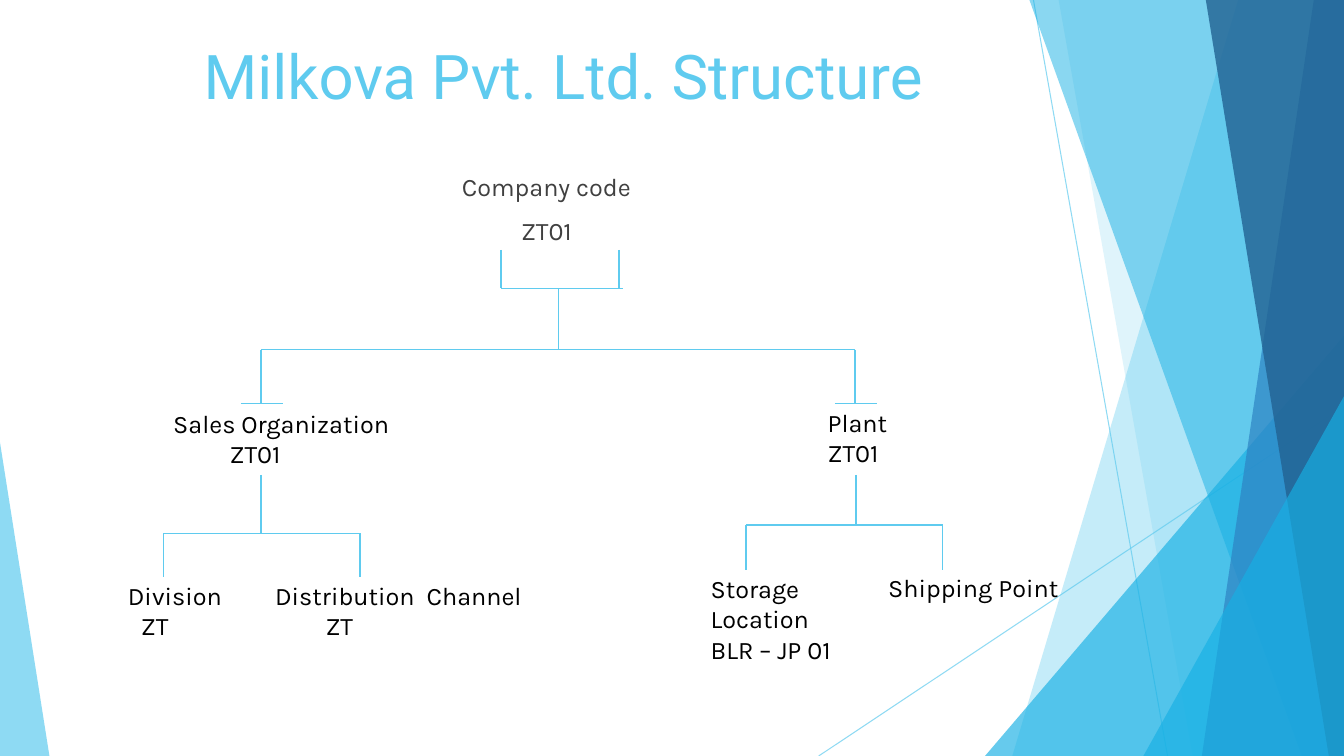
from pptx import Presentation
from pptx import util as u
from pptx.dml.color import RGBColor
from pptx.enum import shapes, text
from pptx.oxml import ns
from lxml import etree

SKY = RGBColor(0x5F, 0xCB, 0xEF)
CYAN = RGBColor(0x17, 0xB0, 0xE4)
BLUE = RGBColor(0x2E, 0x83, 0xC3)
NAVY = RGBColor(0x22, 0x62, 0x92)
GRAY = RGBColor(0x40, 0x40, 0x40)
BLACK = RGBColor(0, 0, 0)
LABEL_FONT = "Karla"


def set_alpha(shape, percent):
    for color in shape._element.spPr.iter(ns.qn("a:srgbClr")):
        etree.SubElement(color, ns.qn("a:alpha"), val=str(percent * 1000))


def paint(shape, color, opacity):
    shape.shadow.inherit = False
    shape.fill.solid()
    shape.fill.fore_color.rgb = color
    shape.line.fill.background()
    set_alpha(shape, opacity)


def add_line(slide, start, end, width=1, opacity=100):
    points = [u.Inches(value) for value in (*start, *end)]
    line = slide.shapes.add_connector(shapes.MSO_CONNECTOR.STRAIGHT, *points)
    line.line.color.rgb = SKY
    line.line.width = u.Pt(width)
    etree.SubElement(line._element.spPr, ns.qn("a:effectLst"))
    if opacity < 100:
        set_alpha(line, opacity)


def add_triangle(slide, box, apex, color, opacity):
    triangle = slide.shapes.add_shape(
        shapes.MSO_SHAPE.ISOSCELES_TRIANGLE, *map(u.Inches, box))
    triangle.adjustments[0] = apex
    paint(triangle, color, opacity)


def add_band(slide, box, top_offset, bottom_offset, color, opacity):
    left, top, width, height = box
    right, bottom = left + width, top + height
    corners = [(left + top_offset, top), (right, top), (right, bottom),
               (left + bottom_offset, bottom)]
    points = [(u.Inches(x), u.Inches(y)) for x, y in corners]
    builder = slide.shapes.build_freeform(*points[0])
    builder.add_line_segments(points[1:], close=True)
    paint(builder.convert_to_shape(), color, opacity)


def add_corner(slide, box, width, height, color, opacity):
    right, bottom = box[0] + box[2], box[1] + box[3]
    add_triangle(slide, (right - width, bottom - height, width, height),
                 1, color, opacity)


def add_facets(slide, box):
    left, top, width, height = box
    bottom = top + height
    add_line(slide, (left + 2.13, top), (left + 3.46, bottom), 0.75, 70)
    add_line(slide, (left + width, top + 4.03), (left, bottom), 0.75, 70)
    add_band(slide, box, 4.16, 1.92, SKY, 36)
    add_band(slide, box, 2.38, 3.71, SKY, 20)
    add_corner(slide, box, 3.56, 4.17, CYAN, 66)
    add_band(slide, box, 2.09, 4.79, CYAN, 50)
    add_band(slide, box, 4.91, 3.8, BLUE, 70)
    add_band(slide, box, 3.84, 5.06, NAVY, 80)
    add_corner(slide, box, 1.99, 3.57, CYAN, 66)


def format_text(paragraph, content, size=18, font=LABEL_FONT, color=BLACK,
                align=text.PP_ALIGN.LEFT, before=0, indent=0):
    run = paragraph.add_run()
    run.text = content
    run.font.size = u.Pt(size)
    run.font.name = font
    run.font.color.rgb = color
    paragraph.alignment = align
    paragraph.space_before = u.Pt(before)
    if indent:
        paragraph._p.get_or_add_pPr().set("marL", str(u.Inches(indent)))


def add_label(slide, box, lines, code_indent=0, **style):
    frame = slide.shapes.add_textbox(*map(u.Inches, box)).text_frame
    frame.word_wrap = True
    for index, content in enumerate(lines):
        paragraph = frame.add_paragraph() if index else frame.paragraphs[0]
        format_text(paragraph, content, indent=code_indent if index else 0, **style)


def add_title(slide, box, content):
    title = slide.shapes.title
    title.left, title.top, title.width, title.height = map(u.Inches, box)
    title.text_frame.vertical_anchor = text.MSO_ANCHOR.TOP
    format_text(title.text_frame.paragraphs[0], content, size=44, font="Roboto",
                color=SKY, align=text.PP_ALIGN.CENTER)


def add_fork(slide, box, stem_offset, stem_height):
    left, top, width, height = box
    bar = top + stem_height
    add_line(slide, (left + stem_offset, top), (left + stem_offset, bar))
    add_line(slide, (left, bar), (left + width, bar))
    for x in (left, left + width):
        add_line(slide, (x, bar), (x, top + height))


def add_bracket(slide, box):
    left, top, width, height = box
    bottom = top + height
    add_line(slide, (left, bottom), (left + width, bottom))
    for x in (left, left + width - 0.04):
        add_line(slide, (x, top), (x, bottom))


def add_structure(slide, box):
    left, top = box[:2]

    def place(x, y, width, height):
        return left + x, top + y, width, height

    add_label(slide, (left - 0.03, top, box[2], 0.9), ["Company code", "ZT01"],
              color=GRAY, align=text.PP_ALIGN.CENTER, before=10)
    add_bracket(slide, place(4.22, 0.83, 1.21, 0.38))
    add_fork(slide, place(1.84, 1.21, 5.89, 1.14), 2.95, 0.61)
    for center in (1.85, 7.74):
        x, y = left + center, top + 2.35
        add_line(slide, (x - 0.21, y), (x + 0.21, y))
    add_fork(slide, place(0.87, 3.06, 1.95, 1.01), 0.97, 0.58)
    add_fork(slide, place(6.65, 3.06, 1.95, 0.94), 1.09, 0.5)

    add_label(slide, place(0.87, 2.35, 2.36, 0.71),
              ["Sales Organization", "ZT01"], 0.56)
    add_label(slide, place(7.36, 2.34, 2.19, 0.71), ["Plant", "ZT01"])
    add_label(slide, place(0.42, 4.06, 1.83, 1.01), ["Division", "ZT"], 0.13)
    add_label(slide, place(1.88, 4.06, 2.95, 1.01),
              ["Distribution  Channel", "ZT"], 0.5)
    add_label(slide, place(6.2, 3.99, 1.83, 1.31),
              ["Storage Location", "BLR – JP 01"])
    add_label(slide, place(7.96, 3.98, 2.95, 1.01), ["Shipping Point"])


def build_structure_slide(presentation):
    slide = presentation.slides.add_slide(presentation.slide_layouts[5])
    add_facets(slide, (8.12, 0, 5.21, 7.5))
    add_triangle(slide, (0, 4.39, 0.49, 3.11), 0, SKY, 70)
    add_title(slide, (0.89, 0.33, 9.4, 1.44), "Milkova Pvt. Ltd. Structure")
    add_structure(slide, (0.75, 1.65, 9.4, 5.3))


presentation = Presentation()
presentation.slide_width = u.Inches(13.33)
presentation.slide_height = u.Inches(7.5)
build_structure_slide(presentation)
presentation.save("out.pptx")
